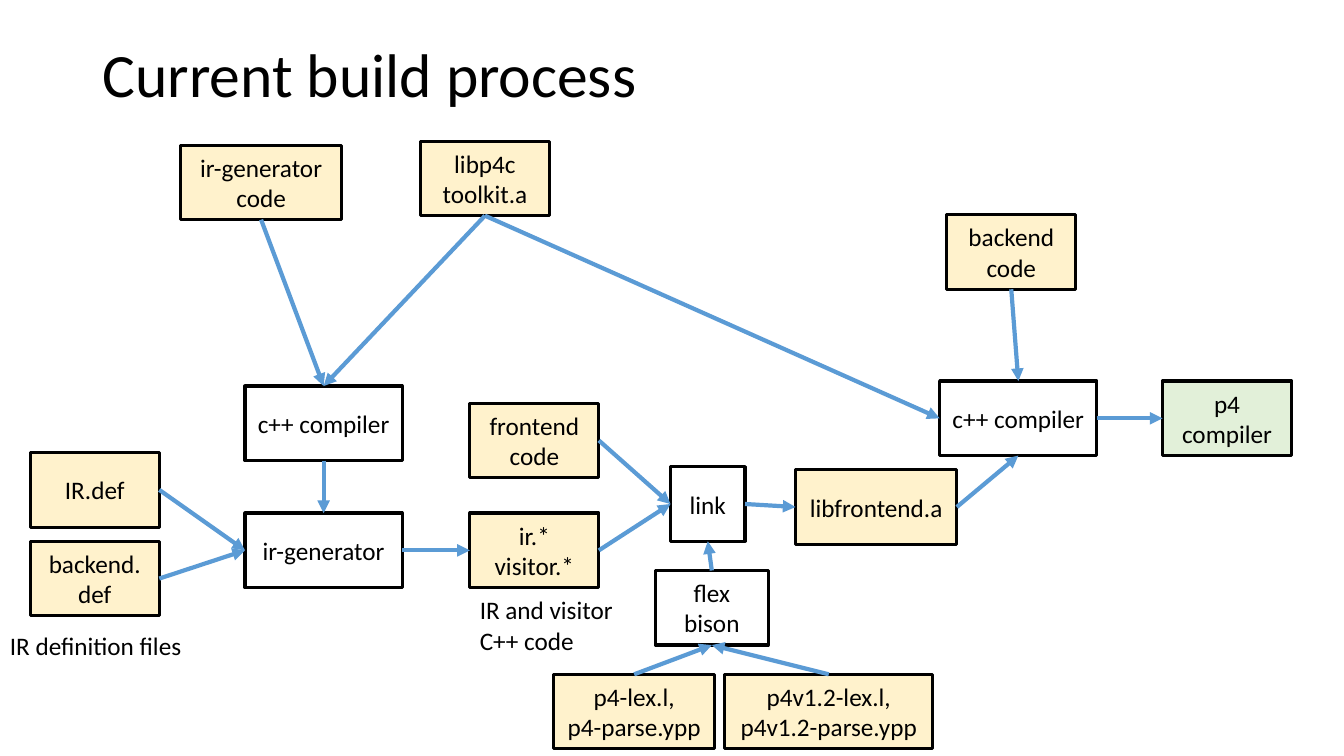
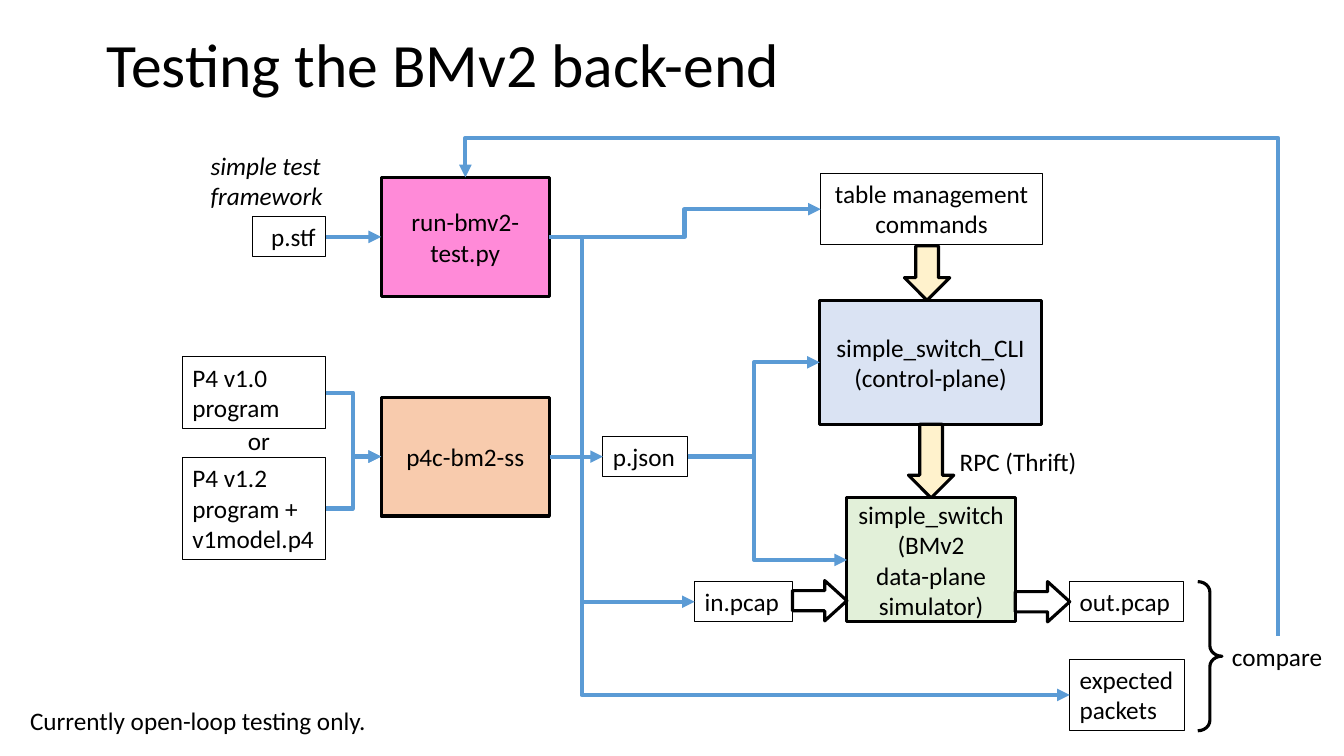
from dataclasses import dataclass
from typing import Optional

import pptx
import pptx.dml.color
import pptx.enum.shapes
import pptx.enum.text
import pptx.oxml.ns
import pptx.slide
import pptx.text.text
import pptx.util
from lxml import etree
from pptx.util import Inches

# Shared look
COLOURS = {
    "black": "000000",
    "white": "FFFFFF",
    "link": "5B9BD5",
    "source": "FFF2CC",
    "result": "E2F0D9",
    "control": "DAE3F3",
    "compiler": "F8CBAD",
    "test": "FF8AD8",
}
FONT = "Calibri"
TOP, LEFT, BOTTOM, RIGHT = range(4)
ALIGN = pptx.enum.text.PP_ALIGN
ANCHOR = pptx.enum.text.MSO_ANCHOR
PRESET = pptx.enum.shapes.MSO_SHAPE
CONNECTOR = pptx.enum.shapes.MSO_CONNECTOR


@dataclass
class Box:
    """A framed step; without a fill it is a thin file box."""
    name: str
    text: str
    left: float
    top: float
    width: float
    height: float = 0.74
    fill: Optional[str] = None
    align: ALIGN = ALIGN.CENTER


@dataclass
class Label:
    text: str
    left: float
    top: float
    width: float
    height: float = 0.4
    italic: bool = False
    name: str = ""


@dataclass
class Link:
    """An arrow between two sides; bend is where an elbow's middle part lies."""
    start: str
    start_side: int
    end: str
    end_side: int
    bend: Optional[float] = None


@dataclass
class Symbol:
    preset: PRESET
    left: float
    top: float
    width: float
    height: float
    fill: Optional[str] = None
    adjustments: tuple[float, ...] = ()


def rgb(name: str) -> pptx.dml.color.RGBColor:
    return pptx.dml.color.RGBColor.from_string(COLOURS[name])


def write_text(frame: pptx.text.text.TextFrame, text: str, *, size: float = 18,
               italic: bool = False, align: ALIGN = ALIGN.LEFT,
               anchor: ANCHOR = ANCHOR.TOP, spacing: float = 1.0,
               wrap: bool = True) -> None:
    frame.word_wrap = wrap
    frame.vertical_anchor = anchor
    frame.text = text
    for paragraph in frame.paragraphs:
        paragraph.alignment = align
        paragraph.line_spacing = spacing
        paragraph.font.name = FONT
        paragraph.font.size = pptx.util.Pt(size)
        paragraph.font.italic = italic
        paragraph.font.color.rgb = rgb("black")


def add_title(slide: pptx.slide.Slide, text: str, left: float, top: float,
              height: float) -> None:
    shape = slide.shapes.add_textbox(
        Inches(left), Inches(top), Inches(11.5), Inches(height))
    write_text(shape.text_frame, text, size=44, anchor=ANCHOR.MIDDLE, spacing=0.9)


def add_outlined(slide: pptx.slide.Slide, preset: PRESET, place: Box | Symbol,
                 line_width: float = 2.25):
    shape = slide.shapes.add_shape(
        preset, Inches(place.left), Inches(place.top),
        Inches(place.width), Inches(place.height))
    shape.shadow.inherit = False
    if place.fill:
        shape.fill.solid()
        shape.fill.fore_color.rgb = rgb(place.fill)
    else:
        shape.fill.background()
    shape.line.color.rgb = rgb("black")
    shape.line.width = pptx.util.Pt(line_width)
    return shape


def add_box(slide: pptx.slide.Slide, box: Box):
    shape = add_outlined(slide, PRESET.RECTANGLE, box, 2.25 if box.fill else 0.75)
    write_text(shape.text_frame, box.text, align=box.align,
               anchor=ANCHOR.MIDDLE if box.fill else ANCHOR.TOP)
    return shape


def add_label(slide: pptx.slide.Slide, label: Label):
    shape = slide.shapes.add_textbox(
        Inches(label.left), Inches(label.top),
        Inches(label.width), Inches(label.height))
    write_text(shape.text_frame, label.text, italic=label.italic, wrap=False)
    return shape


def add_symbol(slide: pptx.slide.Slide, symbol: Symbol) -> None:
    shape = add_outlined(slide, symbol.preset, symbol)
    for index, value in enumerate(symbol.adjustments):
        shape.adjustments[index] = value


def bend_elbow(connector, link: Link) -> None:
    """Put the middle part of an elbow at link.bend (x, or y if it starts upward)."""
    properties = connector.element.spPr
    begin, end = connector.begin_x, connector.end_x
    if link.start_side == TOP:
        begin, end = connector.begin_y, connector.end_y
        # Turn the frame a quarter so that the elbow runs up, left and down
        centre_x = connector.left + connector.width // 2
        centre_y = connector.top + connector.height // 2
        width, height = connector.height, connector.width
        connector.left, connector.top = centre_x - width // 2, centre_y - height // 2
        connector.width, connector.height = width, height
        frame = properties.find(pptx.oxml.ns.qn("a:xfrm"))
        frame.set("rot", "16200000")
        frame.set("flipH", "0")
        frame.set("flipV", "1")
    share = (Inches(link.bend) - begin) / (end - begin)
    geometry = properties.find(pptx.oxml.ns.qn("a:prstGeom"))
    etree.SubElement(geometry.find(pptx.oxml.ns.qn("a:avLst")),
                     pptx.oxml.ns.qn("a:gd"),
                     name="adj1", fmla=f"val {round(share * 100000)}")


def add_link(slide: pptx.slide.Slide, link: Link, shapes: dict) -> None:
    kind = CONNECTOR.STRAIGHT if link.bend is None else CONNECTOR.ELBOW
    connector = slide.shapes.add_connector(kind, 0, 0, 0, 0)
    connector.begin_connect(shapes[link.start], link.start_side)
    connector.end_connect(shapes[link.end], link.end_side)
    if link.bend is not None:
        bend_elbow(connector, link)
    connector.line.color.rgb = rgb("link")
    connector.line.width = pptx.util.Pt(3)
    properties = connector.element.spPr
    etree.SubElement(properties.find(pptx.oxml.ns.qn("a:ln")),
                     pptx.oxml.ns.qn("a:tailEnd"), type="triangle")
    etree.SubElement(properties, pptx.oxml.ns.qn("a:effectLst"))


def add_diagram(slide: pptx.slide.Slide, boxes: list[Box], labels: list[Label],
                links: list[Link], symbols: list[Symbol]) -> None:
    shapes = {box.name: add_box(slide, box) for box in boxes}
    for label in labels:
        shapes[label.name] = add_label(slide, label)
    for link in links:
        add_link(slide, link, shapes)
    for symbol in symbols:
        add_symbol(slide, symbol)


def build_process_slide(slide: pptx.slide.Slide) -> None:
    add_title(slide, "Current build process", 0.92, 0.04, 1.45)
    small, medium, large = 1.28, 1.56, 1.6
    boxes = [
        Box("ir def", "IR.def", 0.3, 4.49, small, fill="source"),
        Box("backend def", "backend.\vdef", 0.3, 5.37, small, fill="source"),
        Box("generator code", "ir-generator\vcode", 1.79, 1.44, large, fill="source"),
        Box("toolkit", "libp4c\vtoolkit.a", 4.17, 1.4, small, fill="source"),
        Box("first compiler", "c++ compiler", 2.43, 3.83, medium, fill="white"),
        Box("generator", "ir-generator", 2.43, 5.09, medium, fill="white"),
        Box("frontend", "frontend\ncode", 4.66, 4, small, fill="source"),
        Box("visitor", "ir.*\nvisitor.*", 4.66, 5.09, small, fill="source"),
        Box("link", "link", 6.65, 4.63, 0.74, fill="white"),
        Box("flex", "flex\vbison", 6.5, 5.66, 1.12, fill="white"),
        Box("lexer", "p4-lex.l,\vp4-parse.ypp", 5.49, 6.69, large, fill="source"),
        Box("new lexer", "p4v1.2-lex.l,\vp4v1.2-parse.ypp", 7.19, 6.69, 2.06,
            fill="source"),
        Box("library", "libfrontend.a", 7.89, 4.66, large, fill="source"),
        Box("backend", "backend\ncode", 9.39, 2.13, small, fill="source"),
        Box("last compiler", "c++ compiler", 9.32, 3.78, medium, fill="white"),
        Box("p4 compiler", "p4 compiler", 11.53, 3.78, small, fill="result"),
    ]
    labels = [
        Label("IR definition files", 0, 6.2, 1.93),
        Label("IR and visitor\vC++ code", 4.66, 5.85, 1.59, 0.71),
    ]
    links = [
        Link("ir def", RIGHT, "generator", LEFT),
        Link("backend def", RIGHT, "generator", LEFT),
        Link("generator code", BOTTOM, "first compiler", TOP),
        Link("toolkit", BOTTOM, "first compiler", TOP),
        Link("toolkit", BOTTOM, "last compiler", LEFT),
        Link("first compiler", BOTTOM, "generator", TOP),
        Link("generator", RIGHT, "visitor", LEFT),
        Link("frontend", RIGHT, "link", LEFT),
        Link("visitor", RIGHT, "link", LEFT),
        Link("lexer", TOP, "flex", BOTTOM),
        Link("new lexer", TOP, "flex", BOTTOM),
        Link("flex", TOP, "link", BOTTOM),
        Link("link", RIGHT, "library", LEFT),
        Link("library", RIGHT, "last compiler", BOTTOM),
        Link("backend", BOTTOM, "last compiler", TOP),
        Link("last compiler", RIGHT, "p4 compiler", LEFT),
    ]
    add_diagram(slide, boxes, labels, links, [])


def build_testing_slide(slide: pptx.slide.Slide) -> None:
    add_title(slide, "Testing the BMv2 back-end", 0.96, 0.2, 0.94)
    one_line, two_lines, three_lines = 0.4, 0.71, 1.01
    boxes = [
        Box("stf", "p.stf", 2.5, 2.15, 0.73, one_line, align=ALIGN.RIGHT),
        Box("old program", "P4 v1.0\vprogram", 1.81, 3.54, 1.42, two_lines,
            align=ALIGN.LEFT),
        Box("new program", "P4 v1.2\vprogram +\nv1model.p4", 1.81, 4.54, 1.42,
            three_lines, align=ALIGN.LEFT),
        Box("run test", "run-bmv2-test.py", 3.78, 1.76, 1.67, 1.18, "test"),
        Box("compiler", "p4c-bm2-ss", 3.78, 3.94, 1.67, 1.18, "compiler"),
        Box("json", "p.json", 5.98, 4.33, 0.84, one_line, align=ALIGN.LEFT),
        Box("commands", "table management\vcommands", 8.14, 1.72, 2.2, two_lines),
        Box("control", "simple_switch_CLI\n(control-plane)", 8.13, 2.98, 2.2, 1.23,
            "control"),
        Box("switch", "simple_switch\v(BMv2\vdata-plane simulator)", 8.4, 4.94,
            1.67, 1.23, "result"),
        Box("input", "in.pcap", 6.89, 5.77, 0.97, one_line, align=ALIGN.LEFT),
        Box("output", "out.pcap", 10.61, 5.77, 1.13, one_line, align=ALIGN.LEFT),
        Box("expected", "expected\vpackets", 10.61, 6.54, 1.14, two_lines,
            align=ALIGN.LEFT),
    ]
    labels = [
        Label("simple test\vframework", 1.99, 1.44, 1.32, two_lines, italic=True),
        Label("or", 2.36, 4.17, 0.42),
        Label("RPC (Thrift)", 9.42, 4.38, 1.38),
        Label("Currently open-loop testing only.", 0.2, 6.95, 3.57),
        Label("compare", 12.12, 6.31, 1.11, name="compare"),
    ]
    links = [
        Link("stf", RIGHT, "run test", LEFT),
        Link("old program", RIGHT, "compiler", LEFT, 3.5),
        Link("new program", RIGHT, "compiler", LEFT, 3.5),
        Link("compiler", RIGHT, "json", LEFT),
        Link("json", RIGHT, "control", LEFT, 7.48),
        Link("json", RIGHT, "switch", LEFT, 7.48),
        Link("run test", RIGHT, "commands", LEFT, 6.79),
        Link("run test", RIGHT, "input", LEFT, 5.77),
        Link("run test", RIGHT, "expected", LEFT, 5.77),
        Link("compare", TOP, "run test", TOP, 1.37),
    ]
    symbols = [
        Symbol(PRESET.DOWN_ARROW, 8.97, 2.44, 0.45, 0.54, "source"),
        Symbol(PRESET.DOWN_ARROW, 9.01, 4.21, 0.45, 0.73, "source"),
        Symbol(PRESET.RIGHT_ARROW, 7.86, 5.76, 0.54, 0.4, "white", (0.5, 0.55)),
        Symbol(PRESET.RIGHT_ARROW, 10.07, 5.77, 0.54, 0.4, "white", (0.5, 0.55)),
        Symbol(PRESET.RIGHT_BRACE, 11.88, 5.77, 0.24, 1.48, None, (0.43, 0.5)),
    ]
    add_diagram(slide, boxes, labels, links, symbols)


def main() -> None:
    presentation = pptx.Presentation()
    presentation.slide_width = Inches(13.33)
    presentation.slide_height = Inches(7.5)
    blank = presentation.slide_layouts[6]
    for build in (build_process_slide, build_testing_slide):
        build(presentation.slides.add_slide(blank))
    presentation.save("out.pptx")


if __name__ == "__main__":
    main()
